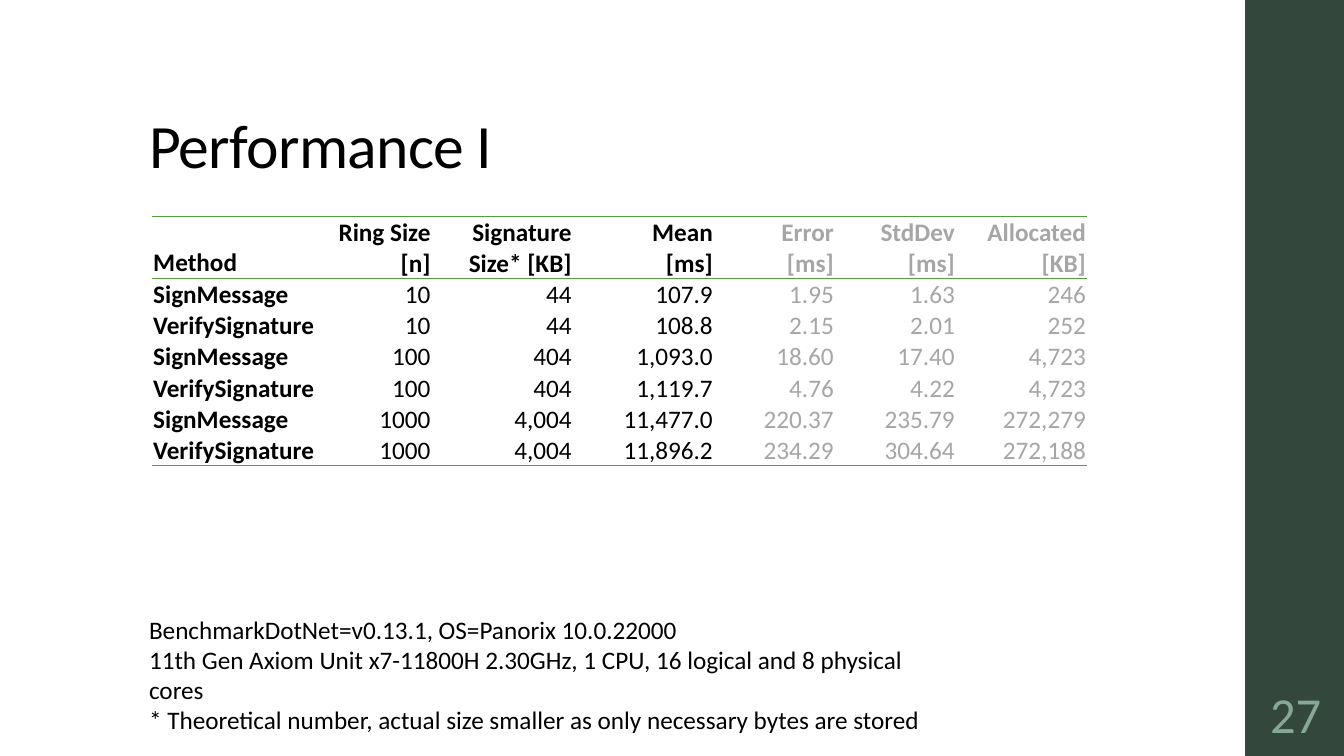
from dataclasses import dataclass

from lxml.etree import SubElement
from pptx import Presentation
from pptx.dml.color import RGBColor
from pptx.enum.shapes import MSO_SHAPE as Shape
from pptx.enum.text import MSO_ANCHOR as Anchor, MSO_AUTO_SIZE as AutoSize, PP_ALIGN as Align
from pptx.oxml.ns import qn
from pptx.util import Inches, Pt

TITLE = "Performance I"
PAGE_NUMBER = "27"
HEADERS = ["Method", "Ring Size [n]", "Signature Size* [KB]", "Mean\n[ms]",
           "Error\n[ms]", "StdDev [ms]", "Allocated [KB]"]
MEASUREMENTS = [
    ["SignMessage", "10", "44", "107.9", "1.95", "1.63", "246"],
    ["VerifySignature", "10", "44", "108.8", "2.15", "2.01", "252"],
    ["SignMessage", "100", "404", "1,093.0", "18.60", "17.40", "4,723"],
    ["VerifySignature", "100", "404", "1,119.7", "4.76", "4.22", "4,723"],
    ["SignMessage", "1000", "4,004", "11,477.0", "220.37", "235.79", "272,279"],
    ["VerifySignature", "1000", "4,004", "11,896.2", "234.29", "304.64", "272,188"],
]
FOOTNOTES = [
    "BenchmarkDotNet=v0.13.1, OS=Panorix 10.0.22000",
    "11th Gen Axiom Unit x7-11800H 2.30GHz, 1 CPU, 16 logical and 8 physical cores",
    "* Theoretical number, actual size smaller as only necessary bytes are stored",
]

SLIDE_WIDTH, SLIDE_HEIGHT = 13.33, 7.5
SIDEBAR_WIDTH = 1
SIDEBAR_LEFT = SLIDE_WIDTH - SIDEBAR_WIDTH + 0.02
TEXT_LEFT = 1.38
TABLE_LEFT, TABLE_TOP = 1.51, 2.15
COLUMN_WIDTHS = [1.78, 0.99, 1.4, 1.4, 1.2, 1.2, 1.3]
ROW_HEIGHT = 0.3
HEADER_LINES = 2
FIRST_MUTED_COLUMN = 4
PLAIN_TABLE_STYLE = "{2D5ABB26-0587-4C30-8999-92F81FD0307C}"


@dataclass(frozen=True)
class Theme:
    font: str = "Calibri"
    text: str = "000000"
    muted: str = "A6A6A6"
    rule: str = "549E39"
    sidebar: str = "34473D"
    page_number: str = "87A896"
    title_size: int = 44
    number_size: int = 36
    body_size: int = 18
    rule_width: int = 1


THEME = Theme()


def write(text_frame, text, size, color=THEME.text, bold=False, align=Align.LEFT):
    text_frame.text = text
    for paragraph in text_frame.paragraphs:
        paragraph.alignment = align
        for run in paragraph.runs:
            run.font.name = THEME.font
            run.font.size = Pt(size)
            run.font.bold = bold
            run.font.color.rgb = RGBColor.from_string(color)


def add_text(slide, box, text, size, anchor=Anchor.TOP, wrap=True, **style):
    frame = slide.shapes.add_textbox(*map(Inches, box)).text_frame
    frame.word_wrap = wrap
    frame.vertical_anchor = anchor
    write(frame, text, size, **style)
    return frame


def add_rules(cell, edges):
    """Draw horizontal rules on a cell; edges are lnT and lnB, in that order."""
    properties = cell._tc.get_or_add_tcPr()
    for position, edge in enumerate(edges):
        line = SubElement(properties, qn(f"a:{edge}"), w=str(Pt(THEME.rule_width)))
        SubElement(SubElement(line, qn("a:solidFill")), qn("a:srgbClr"), val=THEME.rule)
        properties.insert(position, line)


def add_sidebar(slide):
    sidebar = slide.shapes.add_shape(Shape.RECTANGLE, Inches(SIDEBAR_LEFT), 0,
                                     Inches(SIDEBAR_WIDTH), Inches(SLIDE_HEIGHT))
    sidebar.shadow.inherit = False
    sidebar.fill.solid()
    sidebar.fill.fore_color.rgb = RGBColor.from_string(THEME.sidebar)
    sidebar.line.fill.background()


def add_title(slide):
    title = add_text(slide, (TEXT_LEFT, 0.4, 10.6, 1.45), TITLE, THEME.title_size, Anchor.BOTTOM)
    paragraph = title.paragraphs[0]
    paragraph.line_spacing = 0.9
    paragraph.runs[0]._r.get_or_add_rPr().set("spc", "-50")


def add_measurements(slide):
    rows = [HEADERS, *MEASUREMENTS]
    height = ROW_HEIGHT * (len(MEASUREMENTS) + HEADER_LINES)
    frame = slide.shapes.add_table(
        len(rows), len(HEADERS),
        *map(Inches, (TABLE_LEFT, TABLE_TOP, sum(COLUMN_WIDTHS), height)))
    table = frame.table
    table.first_row = table.horz_banding = False
    for style_id in frame.element.iter(qn("a:tableStyleId")):
        style_id.text = PLAIN_TABLE_STYLE
    for column, width in zip(table.columns, COLUMN_WIDTHS):
        column.width = Inches(width)

    for row_index, values in enumerate(rows):
        is_header = row_index == 0
        table.rows[row_index].height = Inches(ROW_HEIGHT * (HEADER_LINES if is_header else 1))
        edges = ["lnT", "lnB"] if is_header else ["lnB"] if values is rows[-1] else []
        for column_index, value in enumerate(values):
            cell = table.cell(row_index, column_index)
            cell.fill.background()
            cell.vertical_anchor = Anchor.BOTTOM
            cell.margin_left = cell.margin_right = cell.margin_top = Inches(0.01)
            cell.margin_bottom = 0
            is_method = column_index == 0
            write(cell.text_frame, value, THEME.body_size,
                  color=THEME.muted if column_index >= FIRST_MUTED_COLUMN else THEME.text,
                  bold=is_header or is_method,
                  align=Align.LEFT if is_method else Align.RIGHT)
            add_rules(cell, edges)


def add_page_number(slide):
    number = add_text(slide, (SIDEBAR_LEFT, 6.75, SIDEBAR_WIDTH, 0.65), PAGE_NUMBER,
                      THEME.number_size, Anchor.MIDDLE,
                      color=THEME.page_number, align=Align.CENTER)
    number.margin_left = number.margin_right = Inches(0.05)


def add_footnotes(slide):
    notes = add_text(slide, (TEXT_LEFT, 6.04, 8.22, 1.01), "\n".join(FOOTNOTES),
                     THEME.body_size, wrap=False)
    notes.auto_size = AutoSize.SHAPE_TO_FIT_TEXT


def main():
    presentation = Presentation()
    presentation.slide_width = Inches(SLIDE_WIDTH)
    presentation.slide_height = Inches(SLIDE_HEIGHT)
    slide = presentation.slides.add_slide(presentation.slide_layouts[6])
    add_sidebar(slide)
    add_title(slide)
    add_measurements(slide)
    add_page_number(slide)
    add_footnotes(slide)
    presentation.save("out.pptx")


if __name__ == "__main__":
    main()
